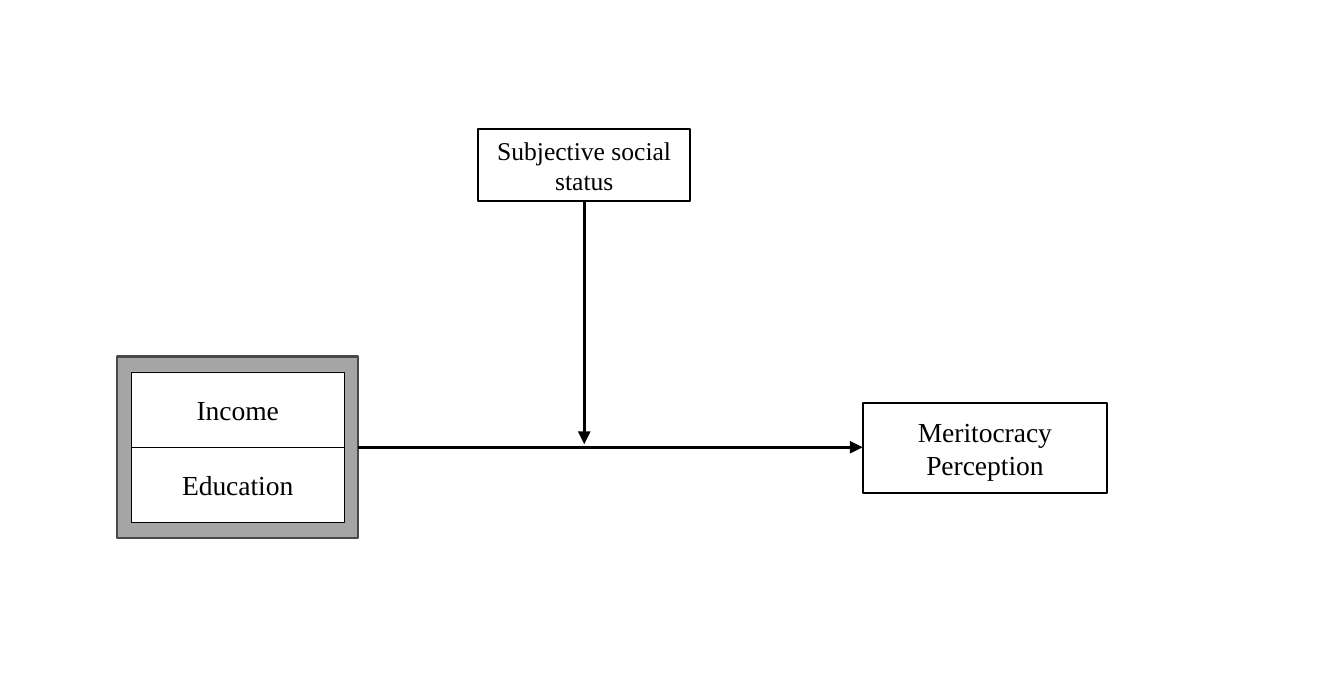
from lxml.etree import SubElement
from pptx import Presentation
from pptx.dml.color import RGBColor
from pptx.enum.shapes import MSO_CONNECTOR, MSO_SHAPE
from pptx.enum.text import MSO_ANCHOR, PP_ALIGN
from pptx.oxml.ns import qn
from pptx.util import Inches, Pt

INK = {"text": "000000", "paper": "FFFFFF", "frame": "A5A5A5", "edge": "484848"}
FONT = "Times New Roman"
WIDE, HIGH = 8.74, 4.45

# Boxes as left, top, width, height in percent of the slide
CAUSE = (8.7, 52.13, 17.96, 26.52)
EFFECT = (64.19, 58.88, 18.19, 13.26)
STATUS = (35.58, 18.88, 15.79, 10.56)


def across(share):
    return Inches(WIDE * share / 100)


def down(share):
    return Inches(HIGH * share / 100)


def color(name):
    return RGBColor.from_string(INK[name])


def add_box(shapes, box, fill="paper", edge="text", weight=1):
    left, top, width, height = box
    rect = shapes.add_shape(MSO_SHAPE.RECTANGLE, across(left), down(top),
                            across(width), down(height))
    rect.shadow.inherit = False
    rect.fill.solid()
    rect.fill.fore_color.rgb = color(fill)
    rect.line.color.rgb = color(edge)
    rect.line.width = Pt(weight)
    return rect


def add_label(shapes, box, text, size=12.9, weight=1):
    frame = add_box(shapes, box, weight=weight).text_frame
    frame.word_wrap = True
    frame.vertical_anchor = MSO_ANCHOR.MIDDLE
    frame.margin_left = frame.margin_right = across(0.8)
    frame.margin_top = frame.margin_bottom = down(0.9)
    frame.text = text
    for para in frame.paragraphs:
        para.alignment = PP_ALIGN.CENTER
        for run in para.runs:
            run.font.name = FONT
            run.font.size = Pt(size)
            run.font.color.rgb = color("text")


def add_cause(shapes, box, names):
    """Grey frame around a stack of equal rows."""
    left, top, width, height = box
    add_box(shapes, box, "frame", "edge")
    stack = shapes.add_group_shape().shapes
    inner, row = width * 0.88, height * 0.83 / len(names)
    start = top + height * 0.085
    for i, name in enumerate(names):
        cell = (left + width * 0.06, start + i * row, inner, row)
        add_label(stack, cell, name, weight=0.25)


def add_arrow(shapes, start, end):
    line = shapes.add_connector(MSO_CONNECTOR.STRAIGHT,
                                across(start[0]), down(start[1]),
                                across(end[0]), down(end[1]))
    line.line.color.rgb = color("text")
    line.line.width = Pt(1.5)
    SubElement(line.line._get_or_add_ln(), qn("a:tailEnd"), type="triangle")
    SubElement(line._element.spPr, qn("a:effectLst"))


def add_paths(shapes, cause, effect, status):
    """Main path from cause to effect, and the moderator's path onto it."""
    level = cause[1] + cause[3] / 2
    middle = status[0] + status[2] / 2
    add_arrow(shapes, (middle, status[1] + status[3]), (middle, level - 0.45))
    add_arrow(shapes, (cause[0] + cause[2], level), (effect[0], level))


deck = Presentation()
deck.slide_width, deck.slide_height = Inches(WIDE), Inches(HIGH)
shapes = deck.slides.add_slide(deck.slide_layouts[6]).shapes

# Variables
add_cause(shapes, CAUSE, ["Income", "Education"])
add_label(shapes, EFFECT, "Meritocracy\nPerception")
add_label(shapes, STATUS, "Subjective social status", size=12)

# Arrows
add_paths(shapes, CAUSE, EFFECT, STATUS)

deck.save("out.pptx")
